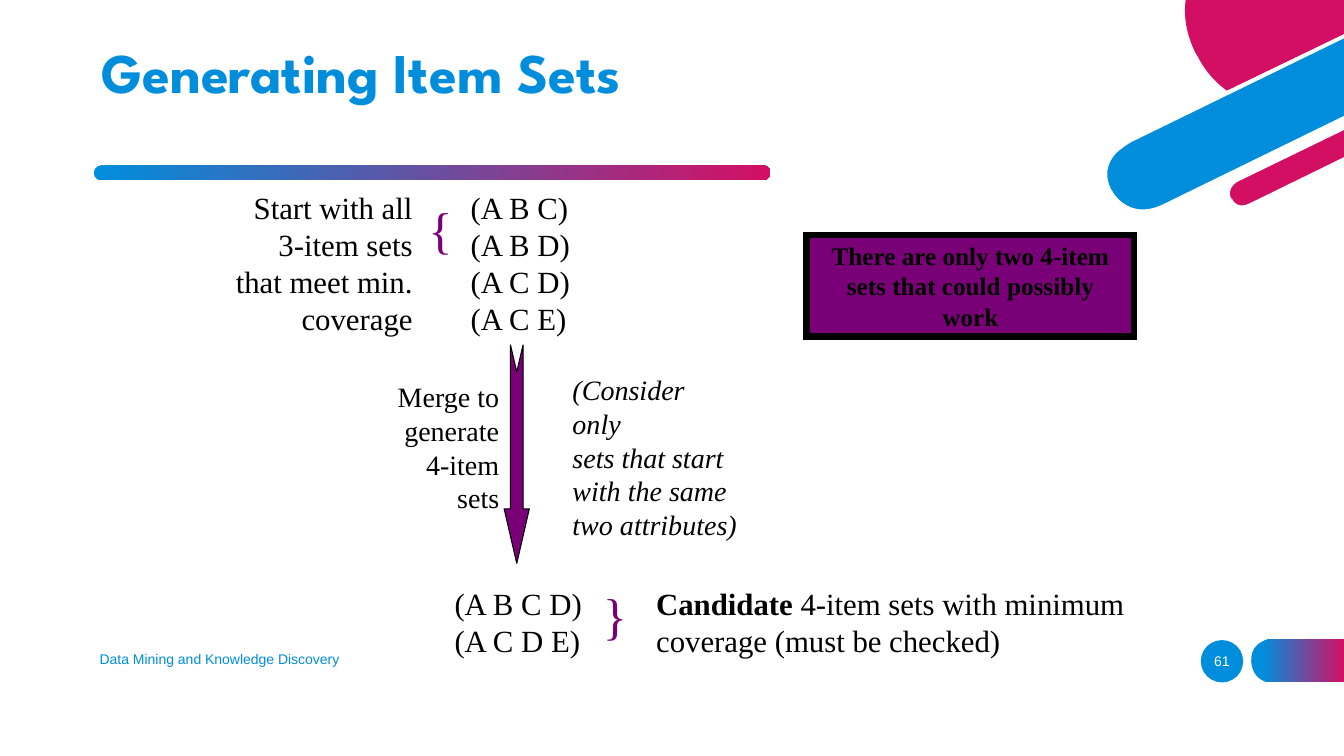
from lxml.etree import SubElement
from pptx import Presentation
from pptx.dml.color import RGBColor
from pptx.enum.shapes import MSO_SHAPE
from pptx.enum.text import MSO_ANCHOR, PP_ALIGN
from pptx.oxml.ns import qn
from pptx.util import Inches, Pt

BLUE, PINK, PURPLE = "008EDC", "D30F64", "7A0078"
BLACK, WHITE = "000000", "FFFFFF"
SERIF, SANS, DISPLAY = "Times New Roman", "Arial", "League Spartan"

# Outlines in inches from the corner decoration's top left;
# a pair is a straight step, six numbers are a cubic curve.
CORNER_OUTLINES = [
    (WHITE, [(2.43, 0.81), (2.16, 0.94), (1.84, 1.1, 1.54, 1.08, 1.29, 0.89),
             (1.09, 0.74, 0.99, 0.55, 0.99, 0.55), (0.98, 0.52),
             (0.89, 0.34, 0.85, 0.16, 0.88, 0), (0.84, 0),
             (0.81, 0.17, 0.85, 0.35, 0.94, 0.54), (0.96, 0.57),
             (0.96, 0.58, 1.06, 0.77, 1.26, 0.92),
             (1.38, 1.01, 1.54, 1.09, 1.75, 1.09),
             (1.87, 1.09, 2.01, 1.06, 2.18, 0.98), (2.43, 0.86)]),
    (BLUE, [(0.31, 1.39), (0.31, 1.39, -0.05, 1.57, 0.11, 1.89), (0.11, 1.9),
            (0.11, 1.9, 0.27, 2.22, 0.64, 2.04), (2.43, 1.17), (2.43, 0.36)]),
    (PINK, [(0.98, 0.56), (0.98, 0.56, 1.07, 0.76, 1.27, 0.9), (2.43, 0.34),
            (2.43, 0), (0.86, 0), (0.84, 0.15, 0.86, 0.33, 0.96, 0.53)]),
    (PINK, [(2.43, 1.26), (1.37, 1.78), (1.37, 1.78, 1.23, 1.85, 1.3, 1.97),
            (1.3, 1.98), (1.3, 1.98, 1.36, 2.11, 1.5, 2.04), (2.43, 1.58)]),
    (WHITE, [(1.49, 2.02), (1.37, 2.08, 1.32, 1.98, 1.32, 1.97), (1.31, 1.97),
             (1.26, 1.86, 1.38, 1.8, 1.38, 1.8), (2.43, 1.29), (2.43, 1.24),
             (1.36, 1.76), (1.36, 1.76, 1.29, 1.8, 1.27, 1.87),
             (1.25, 1.91, 1.26, 1.95, 1.28, 1.99),
             (1.3, 2.03, 1.35, 2.08, 1.42, 2.08),
             (1.45, 2.08, 1.48, 2.08, 1.51, 2.06), (2.43, 1.61), (2.43, 1.56)]),
    (WHITE, [(0.63, 2.03), (0.29, 2.19, 0.13, 1.9, 0.13, 1.89), (0.12, 1.88),
             (0.06, 1.75, 0.07, 1.64, 0.16, 1.53),
             (0.23, 1.46, 0.32, 1.41, 0.32, 1.41), (2.43, 0.38), (2.43, 0.34),
             (0.3, 1.37), (0.29, 1.38, 0.12, 1.46, 0.06, 1.63),
             (0.03, 1.71, 0.04, 1.8, 0.09, 1.9), (0.09, 1.91),
             (0.09, 1.91, 0.2, 2.12, 0.43, 2.12),
             (0.49, 2.12, 0.56, 2.1, 0.64, 2.06), (2.43, 1.19), (2.43, 1.15)]),
]
TAB_OUTLINE = [(0.21, 0.43), (0.92, 0.43), (0.92, 0), (0.21, 0),
               (0.21, 0, 0, 0, 0, 0.21), (0, 0.22), (0, 0.22, 0, 0.43, 0.21, 0.43)]


def color(hex_string):
    return RGBColor.from_string(hex_string)


def style_shape(shape, fill, line=None, line_width=0):
    shape.shadow.inherit = False
    shape.fill.solid()
    shape.fill.fore_color.rgb = color(fill)
    if line:
        shape.line.color.rgb = color(line)
        shape.line.width = Pt(line_width)
        SubElement(shape.line._get_or_add_ln(), qn("a:miter"), lim="800000")
    else:
        shape.line.fill.background()


def blend_blue_to_pink(shape, start=0):
    shape.fill.gradient()
    shape.fill.gradient_angle = 0
    for stop, tone, position in zip(shape.fill.gradient_stops, (BLUE, PINK), (start, 1)):
        stop.color.rgb = color(tone)
        stop.position = position


def add_preset(slide, preset, box, fill, line=None, line_width=0):
    shape = slide.shapes.add_shape(preset, *map(Inches, box))
    style_shape(shape, fill, line, line_width)
    return shape


def add_outline(slide, left, top, outline, fill):
    """Build straight steps between the end points, then bend the curved ones."""
    ends = [(Inches(left + step[-2]), Inches(top + step[-1])) for step in outline]
    builder = slide.shapes.build_freeform(*ends[0])
    builder.add_line_segments(ends[1:], close=True)
    shape = builder.convert_to_shape()
    style_shape(shape, fill)
    segments = list(shape._element.iter(qn("a:lnTo")))
    for segment, step in zip(segments, outline[1:]):
        if len(step) == 6:
            segment.tag = qn("a:cubicBezTo")
            end_point = segment[0]
            for x, y in (step[:2], step[2:4]):
                control = SubElement(segment, qn("a:pt"))
                control.set("x", str(Inches(left + x) - shape.left))
                control.set("y", str(Inches(top + y) - shape.top))
            segment.append(end_point)
    return shape


def write_lines(frame, lines, size, font=SERIF, tone=BLACK, align=PP_ALIGN.LEFT,
                bold=None, italic=None):
    for index, line in enumerate(lines):
        paragraph = frame.paragraphs[0] if index == 0 else frame.add_paragraph()
        paragraph.text = line
        paragraph.alignment = align
        paragraph.font.name, paragraph.font.size = font, Pt(size)
        paragraph.font.color.rgb = color(tone)
        paragraph.font.bold, paragraph.font.italic = bold, italic


def add_text(slide, box, lines, size, wrap=True, anchor=MSO_ANCHOR.TOP, **style):
    frame = slide.shapes.add_textbox(*map(Inches, box)).text_frame
    frame.word_wrap = wrap
    frame.vertical_anchor = anchor
    write_lines(frame, lines, size, **style)
    return frame


def add_corner(slide, left, top):
    for fill, outline in CORNER_OUTLINES:
        add_outline(slide, left, top, outline, fill)


def add_header(slide, left, top, title):
    frame = add_text(slide, (left, top, 9.9, 1.03), [title], 40,
                     font=DISPLAY, tone=BLUE, bold=True)
    frame.paragraphs[0].line_spacing = 0.9
    bar = add_preset(slide, MSO_SHAPE.ROUNDED_RECTANGLE,
                     (left + 0.02, top + 1.24, 6.71, 0.15), BLUE)
    bar.adjustments[0] = 0.5
    blend_blue_to_pink(bar)


def add_footer(slide, left, top, label, number):
    add_text(slide, (left, top, 4.5, 0.4), [label], 10, anchor=MSO_ANCHOR.MIDDLE,
             font=SANS, tone=BLUE)
    add_preset(slide, MSO_SHAPE.OVAL, (left + 11.02, top + 0.01, 0.42, 0.42), BLUE)
    add_text(slide, (left + 10.93, top + 0.02, 0.6, 0.4), [number], 10,
             anchor=MSO_ANCHOR.MIDDLE, font=SANS, tone=WHITE, align=PP_ALIGN.CENTER)
    tab = add_outline(slide, left + 11.52, top, TAB_OUTLINE, BLUE)
    blend_blue_to_pink(tab, 0.12)


def add_brace(slide, left, top, brace):
    add_text(slide, (left, top, 0.25, 0.83), [brace], 36, wrap=False,
             tone=PURPLE, align=PP_ALIGN.CENTER)


def add_start_sets(slide, left, top):
    add_text(slide, (left, top, 1.97, 1.57),
             ["Start with all", "3-item sets", "that meet min.", "coverage"], 22,
             align=PP_ALIGN.RIGHT)
    add_brace(slide, left + 1.93, top + 0.1, "{")
    add_text(slide, (left + 2.35, top, 1.3, 1.57),
             ["(A B C)", "(A B D)", "(A C D)", "(A C E)"], 22)


def add_merge_step(slide, left, top):
    add_text(slide, (left, top + 0.07, 1.35, 1.4),
             ["Merge to", "generate", "4-item sets"], 20, align=PP_ALIGN.RIGHT)
    arrow = add_preset(slide, MSO_SHAPE.NOTCHED_RIGHT_ARROW,
                       (left + 0.34, top + 0.73, 2.17, 0.25), PURPLE, BLACK, 0.75)
    arrow.rotation = 90
    arrow.adjustments[0], arrow.adjustments[1] = 0.5, 2.167
    add_text(slide, (left + 1.88, top, 1.84, 1.75),
             ["(Consider only", "sets that start", "with the same", "two attributes)"],
             20, italic=True)


def add_candidates(slide, left, top):
    add_text(slide, (left, top, 1.5, 0.83), ["(A B C D)", "(A C D E)"], 22)
    add_brace(slide, left + 1.47, top, "}")
    frame = add_text(slide, (left + 2, top, 4.9, 0.83),
                     ["Candidate", "coverage (must be checked)"], 22)
    first = frame.paragraphs[0]
    first.runs[0].font.bold = True
    first.add_run().text = " 4-item sets with minimum"


def add_callout(slide, box, message):
    shape = add_preset(slide, MSO_SHAPE.RECTANGLE, box, PURPLE, BLACK, 4.5)
    shape.text_frame.word_wrap = True
    shape.text_frame.vertical_anchor = MSO_ANCHOR.MIDDLE
    write_lines(shape.text_frame, [message], 18, align=PP_ALIGN.CENTER, bold=True)


def main():
    presentation = Presentation()
    presentation.slide_width, presentation.slide_height = Inches(13.33), Inches(7.5)
    slide = presentation.slides.add_slide(presentation.slide_layouts[6])
    add_corner(slide, 10.9, 0)
    add_header(slide, 0.91, 0.4, "Generating Item Sets")
    add_footer(slide, 0.89, 6.34, "Data Mining and Knowledge Discovery", "61")
    add_start_sets(slide, 2.22, 1.82)
    add_merge_step(slide, 3.7, 3.65)
    add_candidates(slide, 4.41, 5.75)
    add_callout(slide, (8, 2.33, 3.25, 1.01),
                "There are only two 4-item sets that could possibly work")
    presentation.save("out.pptx")


if __name__ == "__main__":
    main()
